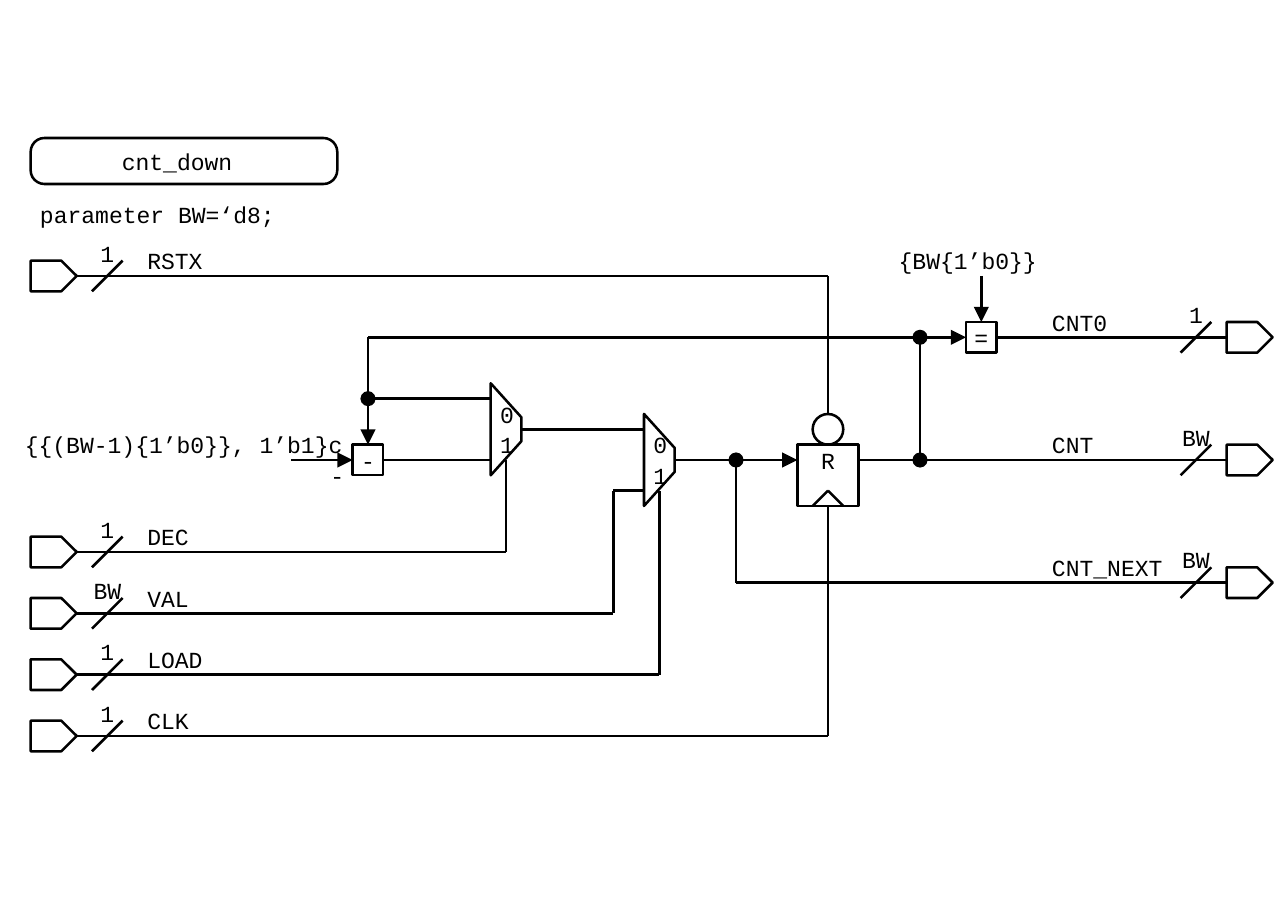
"""Draw the block diagram of the cnt_down counter."""
from typing import NamedTuple

from lxml.etree import SubElement
from pptx import Presentation
from pptx.dml.color import RGBColor
from pptx.enum.shapes import MSO_CONNECTOR as Link, MSO_SHAPE as Kind
from pptx.enum.text import MSO_ANCHOR as Anchor, PP_ALIGN as Align
from pptx.oxml.ns import qn
from pptx.shapes.autoshape import Shape
from pptx.shapes.shapetree import SlideShapes as Shapes
from pptx.util import Cm, Pt

BLACK = RGBColor(0, 0, 0)
FONT = "Courier New"
GRID = 2.54 / 12


class Box(NamedTuple):
    kind: Kind
    left: float
    top: float
    width: float
    height: float
    text: str = ""
    adjust: float | None = None
    turn: float = 0
    wrap: bool = False


class Wire(NamedTuple):
    x1: float
    y1: float
    x2: float
    y2: float
    head: str = ""
    tail: str = ""


class Label(NamedTuple):
    left: float
    top: float
    width: float
    height: float
    text: str
    align: Align = Align.LEFT


class Port(NamedTuple):
    row: float
    bits: str
    name: str


class Side(NamedTuple):
    plate: float
    slash: float
    name: float


Joints = dict[tuple[float, float], tuple[Shape, int]]

LEFT = Side(plate=2, slash=6, name=9)
RIGHT = Side(plate=80, slash=77, name=68)
PORTS = {
    LEFT: [Port(18, "1", "RSTX"), Port(36, "1", "DEC"), Port(40, "BW", "VAL"),
           Port(44, "1", "LOAD"), Port(48, "1", "CLK")],
    RIGHT: [Port(22, "1", "CNT0"), Port(30, "BW", "CNT"),
            Port(38, "BW", "CNT_NEXT")],
}
BOXES = [
    Box(Kind.ROUNDED_RECTANGLE, 2, 9, 20, 3, "cnt_down ", 0.3, wrap=True),
    Box(Kind.RECTANGLE, 23, 29, 2, 2, "-"),
    Box(Kind.RECTANGLE, 63, 21, 2, 2, "="),
    Box(Kind.RECTANGLE, 52, 29, 4, 4),
    Box(Kind.OVAL, 53, 27, 2, 2),
    Box(Kind.TRAPEZOID, 30, 27, 6, 2, adjust=1.11, turn=90),
    Box(Kind.TRAPEZOID, 40, 29, 6, 2, adjust=1.11, turn=90),
]
WIRES = [
    Wire(5, 18, 54, 18),
    Wire(54, 18, 54, 27),
    Wire(5, 36, 33, 36),
    Wire(33, 36, 33, 30),
    Wire(5, 40, 40, 40),
    Wire(40, 40, 40, 32),
    Wire(40, 32, 42, 32),
    Wire(5, 44, 43, 44),
    Wire(43, 44, 43, 32),
    Wire(5, 48, 54, 48),
    Wire(54, 48, 54, 33),
    Wire(53, 33, 54, 32),
    Wire(55, 33, 54, 32),
    Wire(24, 22, 24, 29, tail="triangle"),
    Wire(24, 22, 63, 22, tail="triangle"),
    Wire(24, 26, 32, 26, head="oval"),
    Wire(19, 30, 23, 30, tail="triangle"),
    Wire(25, 30, 32, 30),
    Wire(34, 28, 42, 28),
    Wire(44, 30, 52, 30, tail="triangle"),
    Wire(48, 30, 48, 38, head="oval"),
    Wire(48, 38, 80, 38),
    Wire(56, 30, 80, 30),
    Wire(60, 30, 60, 22, head="oval", tail="oval"),
    Wire(65, 22, 80, 22),
    Wire(64, 18, 64, 21, tail="triangle"),
]
LABELS = [
    Label(2, 13, 6, 2, "parameter BW=‘d8;"),
    Label(1, 28, 22, 2, "{{(BW-1){1’b0}}, 1’b1}c"),
    Label(21, 30, 2, 2, "-", Align.CENTER),
    Label(58, 16, 12, 2, "{BW{1’b0}}"),
    Label(53, 29, 2, 2, "R", Align.CENTER),
    Label(32, 26, 2, 2, "0"),
    Label(32, 28, 2, 2, "1"),
    Label(42, 28, 2, 2, "0"),
    Label(42, 30, 2, 2, "1"),
]


def span(*units: float) -> list[Cm]:
    """Turn grid units into lengths."""
    return [Cm(unit * GRID) for unit in units]


def put_text(shape: Shape, text: str, align: Align, wrap: bool = False) -> None:
    """Set the text of a shape and format it."""
    frame = shape.text_frame
    frame.text = text
    frame.word_wrap = wrap
    frame.vertical_anchor = Anchor.MIDDLE
    frame.margin_left = frame.margin_right = Cm(0.13)
    frame.margin_top = frame.margin_bottom = Cm(0.13)
    line = frame.paragraphs[0]
    line.alignment = align
    for run in line.runs:
        run.font.name = FONT
        run.font.size = Pt(9)
        run.font.color.rgb = BLACK


def add_clear(shapes: Shapes, kind: Kind, *units: float) -> Shape:
    """Add a shape without fill or shadow."""
    shape = shapes.add_shape(kind, *span(*units))
    shape.shadow.inherit = False
    shape.fill.background()
    return shape


def draw_box(shapes: Shapes, box: Box, joints: Joints) -> None:
    """Draw an outlined shape and note the middles of its sides."""
    left, top, width, height = box[1:5]
    shape = add_clear(shapes, box.kind, left, top, width, height)
    shape.line.color.rgb = BLACK
    shape.line.width = Pt(1)
    shape.rotation = box.turn
    if box.adjust is not None:
        shape.adjustments[0] = box.adjust
    if box.text:
        put_text(shape, box.text, Align.CENTER, box.wrap)
    if not box.turn:
        mid, row = left + width / 2, top + height / 2
        sides = [(mid, top), (left, row), (mid, top + height), (left + width, row)]
        for site, point in enumerate(sides):
            joints[point] = (shape, site)


def draw_wire(shapes: Shapes, wire: Wire, joints: Joints) -> None:
    """Draw a wire, joined to the shapes it meets."""
    start, end = (wire.x1, wire.y1), (wire.x2, wire.y2)
    link = shapes.add_connector(Link.STRAIGHT, *span(*start, *end))
    if start in joints:
        link.begin_connect(*joints[start])
    if end in joints:
        link.end_connect(*joints[end])
    link.line.color.rgb = BLACK
    link.line.width = Pt(1)
    props = link._element.spPr
    for tag, tip in (("a:headEnd", wire.head), ("a:tailEnd", wire.tail)):
        if tip:
            SubElement(props.find(qn("a:ln")), qn(tag), type=tip)
    SubElement(props, qn("a:effectLst"))


def draw_label(shapes: Shapes, label: Label) -> None:
    """Draw a line of plain text that may run past its frame."""
    shape = add_clear(shapes, Kind.RECTANGLE, *label[:4])
    shape.line.fill.background()
    put_text(shape, label.text, label.align)


def draw_port(shapes: Shapes, side: Side, port: Port, joints: Joints) -> None:
    """Draw a port with its bus slash, bit width and name."""
    row, slash = port.row, side.slash
    draw_box(shapes, Box(Kind.PENTAGON, side.plate, row - 1, 3, 2), joints)
    draw_wire(shapes, Wire(slash, row + 1, slash + 2, row - 1), joints)
    draw_label(shapes, Label(slash, row - 2, 2, 1, port.bits, Align.CENTER))
    draw_label(shapes, Label(side.name, row - 2, 6, 2, port.name))


def main() -> None:
    """Build and save the slide."""
    deck = Presentation()
    deck.slide_width, deck.slide_height = span(84, 60)
    shapes = deck.slides.add_slide(deck.slide_layouts[6]).shapes
    joints: Joints = {}
    for side, ports in PORTS.items():
        for port in ports:
            draw_port(shapes, side, port, joints)
    for box in BOXES:
        draw_box(shapes, box, joints)
    for wire in WIRES:
        draw_wire(shapes, wire, joints)
    for label in LABELS:
        draw_label(shapes, label)
    deck.save("out.pptx")


if __name__ == "__main__":
    main()
